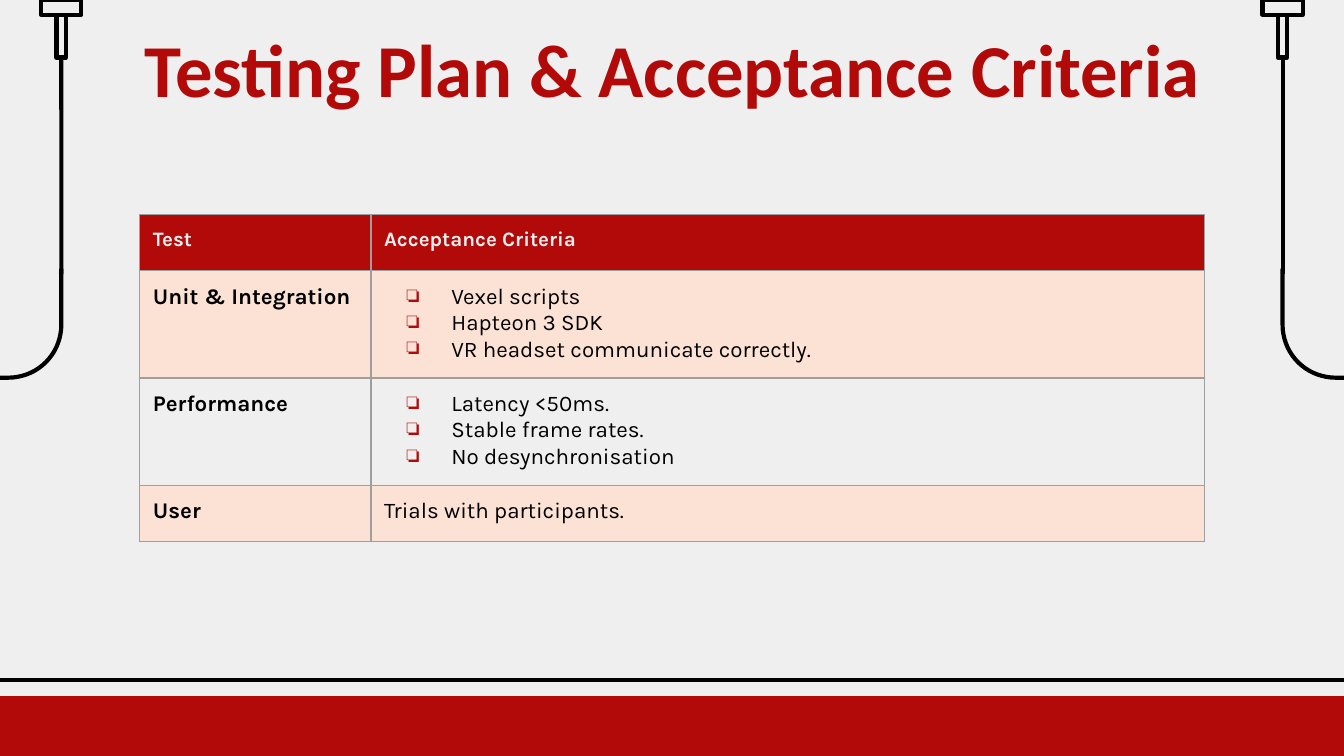
import math
from dataclasses import dataclass

import pptx
import pptx.dml.color
import pptx.enum.shapes
import pptx.enum.text
import pptx.oxml
import pptx.oxml.ns
import pptx.util

Cm, Pt = pptx.util.Cm, pptx.util.Pt
RGBColor = pptx.dml.color.RGBColor
qn = pptx.oxml.ns.qn
NS = pptx.oxml.ns.nsdecls("a")

RED = RGBColor(0xB2, 0x09, 0x09)
PALE = RGBColor(0xEF, 0xEF, 0xEF)
PEACH = RGBColor(0xFB, 0xE2, 0xD5)
BLACK = RGBColor(0, 0, 0)
GREY = RGBColor(0x9E, 0x9E, 0x9E)

WIDTH, HEIGHT = 25.4, 14.29
STROKE = 2.25
MARGIN = 0.25


@dataclass
class TestRow:
    test: str
    criteria: list[str]
    fill: RGBColor | None = None
    color: RGBColor = BLACK
    size: int = 12
    header: bool = False


ROWS = [
    TestRow("Test", ["Acceptance Criteria"], RED, PALE, 11, True),
    TestRow("Unit & Integration",
            ["Vexel scripts", "Hapteon 3 SDK", "VR headset communicate correctly."], PEACH),
    TestRow("Performance", ["Latency <50ms.", "Stable frame rates.", "No desynchronisation"]),
    TestRow("User", ["Trials with participants."], PEACH),
]


def add_line(s, x1: float, y1: float, x2: float, y2: float):
    line = s.shapes.add_connector(pptx.enum.shapes.MSO_CONNECTOR.STRAIGHT,
                                  Cm(x1), Cm(y1), Cm(x2), Cm(y2))
    line.line.color.rgb = BLACK
    line.line.width = Pt(STROKE)
    line._element.spPr.append(pptx.oxml.parse_xml(f"<a:effectLst {NS}/>"))
    return line


def outline(sp) -> None:
    sp.shadow.inherit = False
    sp.fill.background()
    sp.line.color.rgb = BLACK
    sp.line.width = Pt(STROKE)


def add_rect(s, x: float, y: float, w: float, h: float):
    sp = s.shapes.add_shape(pptx.enum.shapes.MSO_SHAPE.RECTANGLE, Cm(x), Cm(y), Cm(w), Cm(h))
    outline(sp)
    return sp


def add_cable(s, x: float, edge: float) -> None:
    """A plug hanging at x, with a cable that bends out to the slide edge."""
    add_rect(s, x - 0.38, 0, 0.76, 0.28)
    stem = add_rect(s, x - 0.09, 0.28, 0.18, 0.81)
    cable = add_line(s, x, 1.09, x, 5.18)
    cable.begin_connect(stem, 2)

    side = math.copysign(1, edge - x)
    radius, bend_y = 1.0, 6.14
    arc = [(x + side * radius * (1 - math.cos(a)), bend_y + radius * math.sin(a))
           for a in (math.radians(d) for d in range(0, 91, 5))]
    builder = s.shapes.build_freeform(Cm(x), Cm(5.08))
    builder.add_line_segments([(Cm(px), Cm(py)) for px, py in arc + [(edge, bend_y + radius)]],
                              close=False)
    outline(builder.convert_to_shape())


def format_text(p, font: str, size: int, color: RGBColor, bold: bool) -> None:
    for r in p.runs:
        r.font.name = font
        r.font.size = Pt(size)
        r.font.color.rgb = color
        r.font.bold = bold


def set_margins(box) -> None:
    box.margin_left = box.margin_right = box.margin_top = box.margin_bottom = Cm(MARGIN)


def add_bullet(p) -> None:
    pPr = p._p.get_or_add_pPr()
    pPr.set("marL", str(Cm(1.27)))
    pPr.set("indent", str(Cm(-0.84)))
    pPr.append(pptx.oxml.parse_xml(
        f'<a:buClr {NS}><a:srgbClr val="{RED}"/></a:buClr>'))
    pPr.append(pptx.oxml.parse_xml(f'<a:buChar {NS} char="❏"/>'))


def add_borders(cell) -> None:
    tcPr = cell._tc.get_or_add_tcPr()
    for i, edge in enumerate(("lnL", "lnR", "lnT", "lnB")):
        tcPr.insert(i, pptx.oxml.parse_xml(
            f'<a:{edge} {NS} w="{Pt(0.75)}"><a:solidFill><a:srgbClr val="{GREY}"/>'
            f'</a:solidFill></a:{edge}>'))


def fill_cell(cell, lines: list[str], row: TestRow, bold: bool) -> None:
    set_margins(cell)
    if row.fill is None:
        cell.fill.background()
    else:
        cell.fill.solid()
        cell.fill.fore_color.rgb = row.fill
    add_borders(cell)
    cell.text_frame.text = "\n".join(lines)
    for p in cell.text_frame.paragraphs:
        format_text(p, "Karla", row.size, row.color, bold)
        if len(lines) > 1:
            add_bullet(p)


def add_test_table(s, rows: list[TestRow]) -> None:
    widths, row_height = (4.37, 15.75), 1.06
    table = s.shapes.add_table(len(rows), len(widths), Cm(2.64), Cm(4.06),
                               Cm(sum(widths)), Cm(row_height * len(rows))).table
    table.horz_banding = False
    table.first_row = False
    for column, width in zip(table.columns, widths):
        column.width = Cm(width)
    for i, row in enumerate(rows):
        table.rows[i].height = Cm(row_height)
        fill_cell(table.cell(i, 0), [row.test], row, True)
        fill_cell(table.cell(i, 1), row.criteria, row, row.header)


def main() -> None:
    prs = pptx.Presentation()
    prs.slide_width, prs.slide_height = Cm(WIDTH), Cm(HEIGHT)
    s = prs.slides.add_slide(prs.slide_layouts[6])
    s.background.fill.solid()
    s.background.fill.fore_color.rgb = PALE

    # Footer
    add_line(s, 0, 12.85, WIDTH, 12.85)
    band = add_rect(s, 0, 13.16, WIDTH, HEIGHT - 13.16)
    band.fill.solid()
    band.fill.fore_color.rgb = RED
    band.line.fill.background()

    # Hanging cables, mirrored left and right
    add_cable(s, 1.16, 0)
    add_cable(s, WIDTH - 1.16, WIDTH)

    # Title
    title = s.shapes.add_textbox(Cm(1.37), Cm(0.13), Cm(22.68), Cm(2.29))
    tf = title.text_frame
    tf.word_wrap = True
    tf.vertical_anchor = pptx.enum.text.MSO_ANCHOR.MIDDLE
    set_margins(tf)
    tf.text = "Testing Plan & Acceptance Criteria"
    p = tf.paragraphs[0]
    p.alignment = pptx.enum.text.PP_ALIGN.CENTER
    format_text(p, "Calibri", 40, RED, True)

    # Tests and their criteria
    add_test_table(s, ROWS)

    prs.save("out.pptx")


if __name__ == "__main__":
    main()
